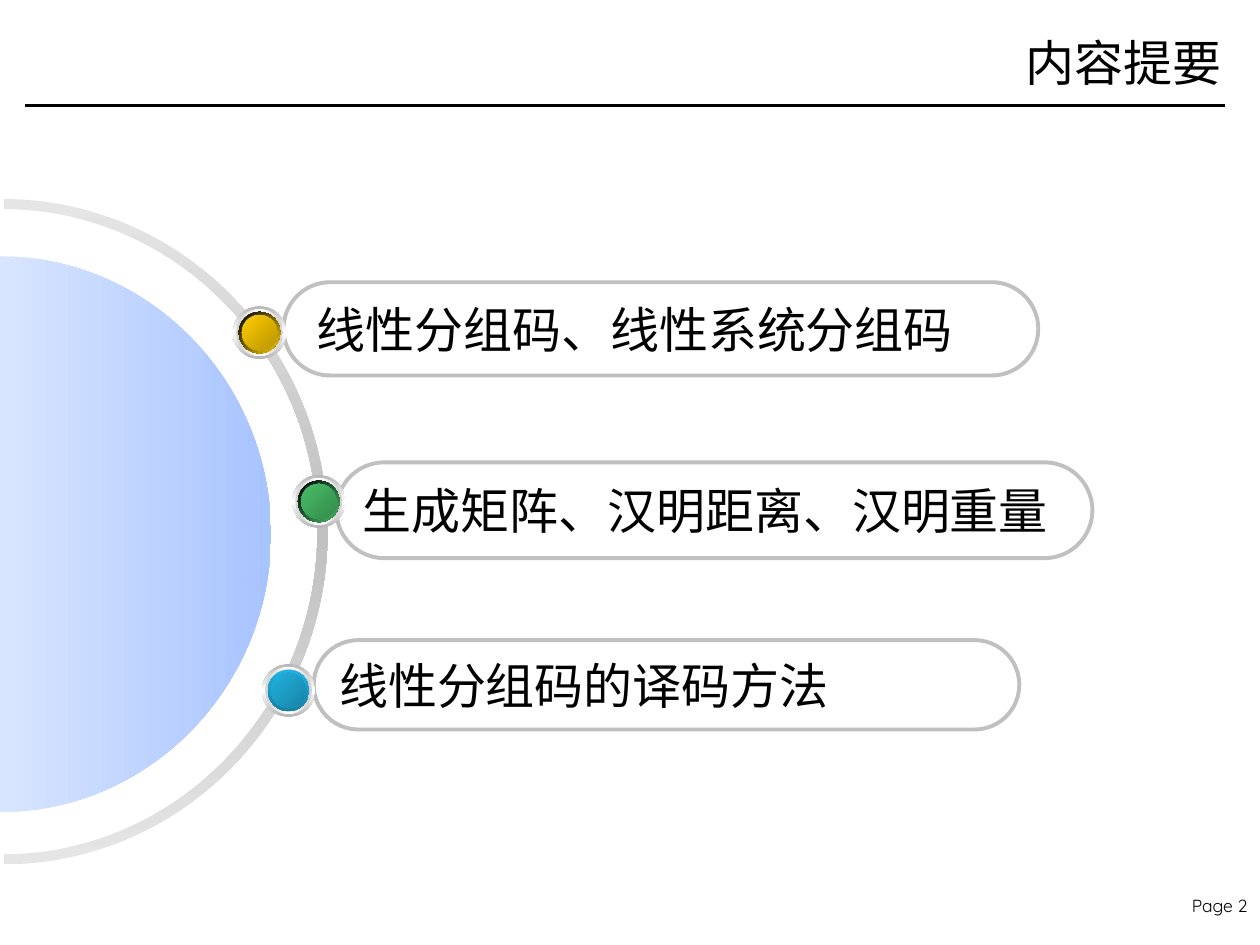
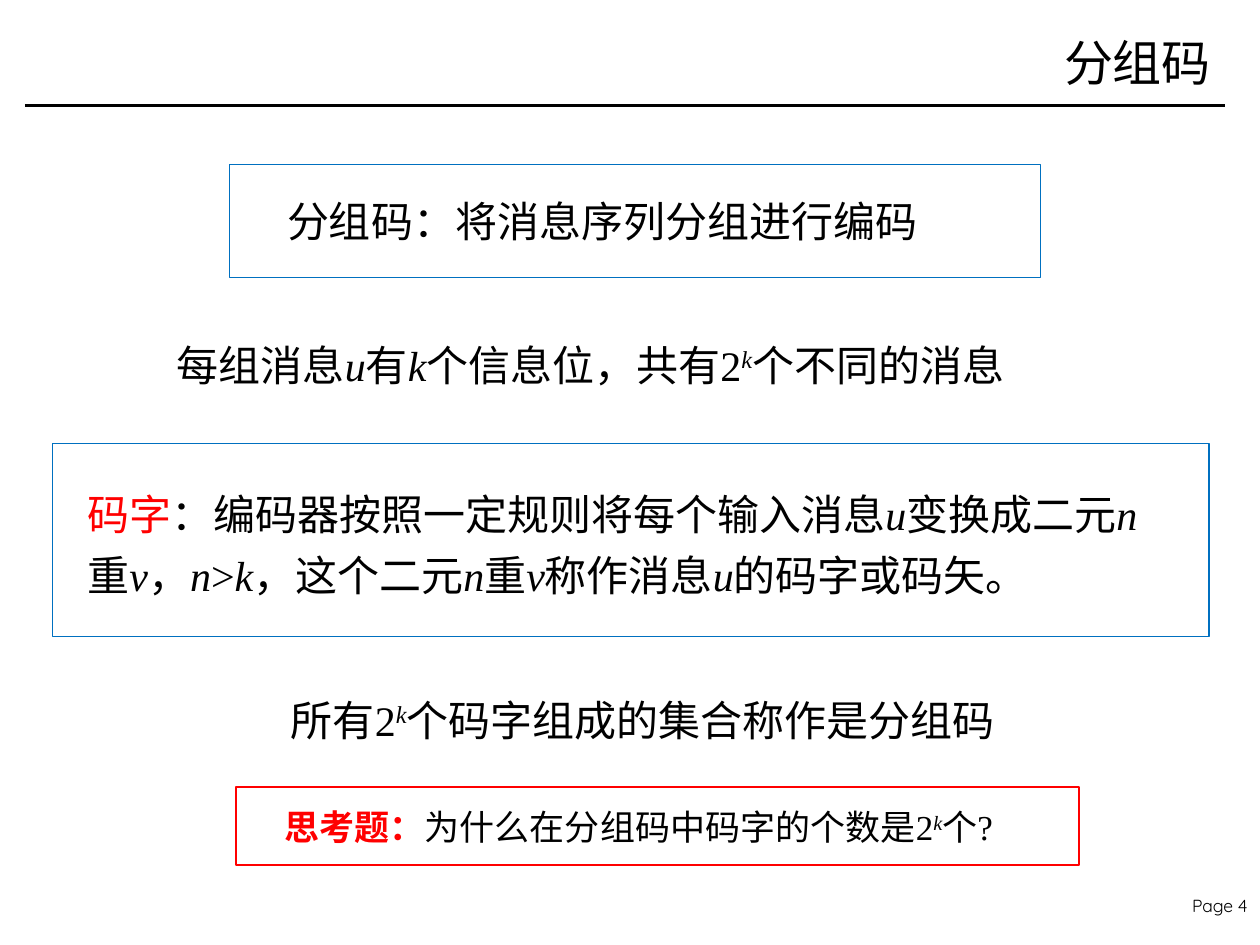
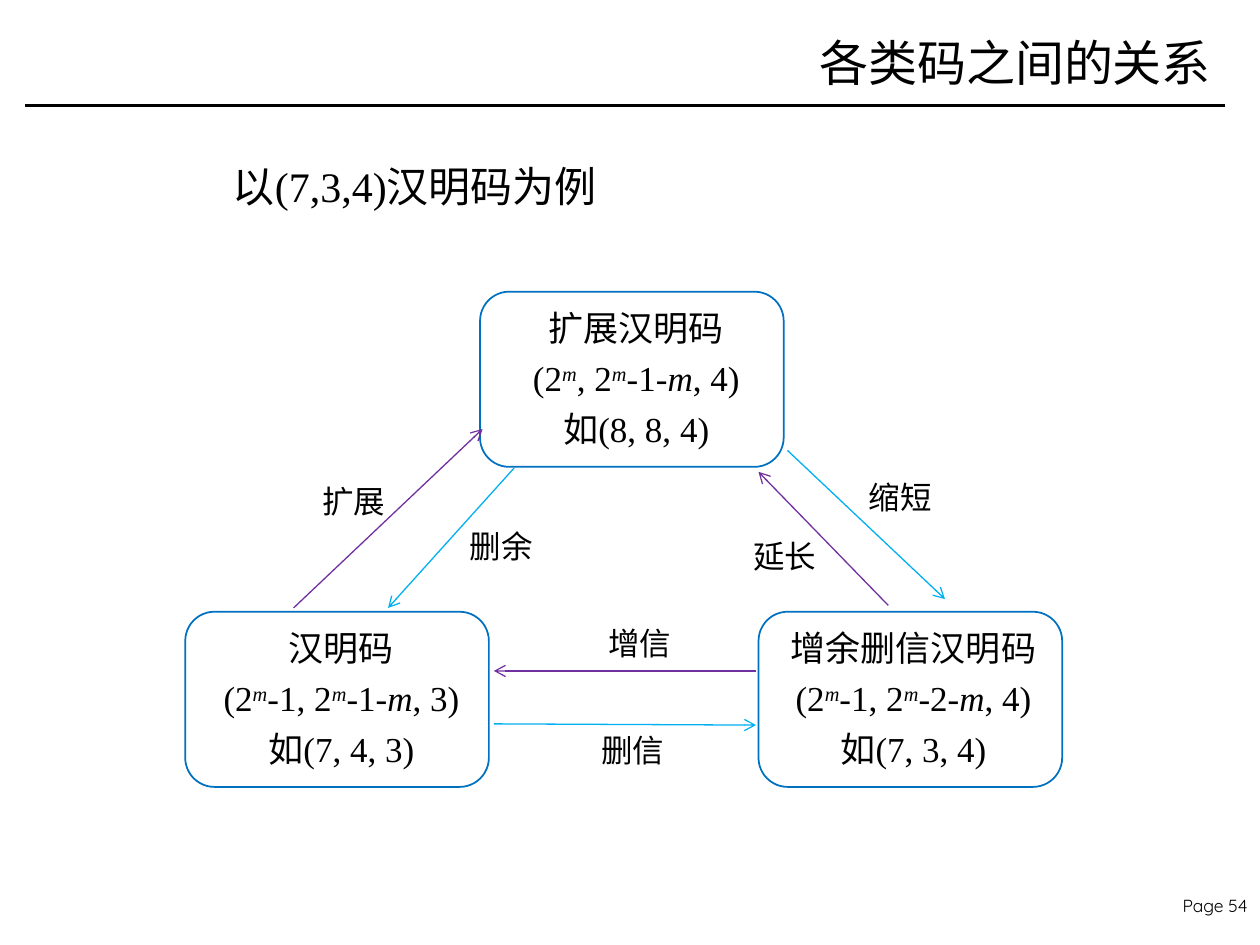
from dataclasses import dataclass

from lxml.etree import SubElement
from pptx import Presentation
from pptx.dml.color import RGBColor
from pptx.enum.shapes import MSO_CONNECTOR as Connector, MSO_SHAPE as Shape
from pptx.enum.text import MSO_ANCHOR as Anchor, MSO_AUTO_SIZE as AutoSize, PP_ALIGN as Align
from pptx.oxml.ns import qn
from pptx.util import Inches, Pt

CELL = 0.1  # the slide is a grid of 100 columns and 75 rows
CURVE = 0.55  # handle length of a quarter ellipse, as a share of its radius


@dataclass(frozen=True)
class Theme:
    ink: str = "000000"
    paper: str = "FFFFFF"
    red: str = "FF0000"
    frame: str = "0070C0"
    grow: str = "7030A0"
    shrink: str = "00B0F0"
    silver: str = "C0C0C0"
    pale_silver: str = "E5E5E5"
    steel: str = "B6B6B6"
    pale_steel: str = "D1D1D1"
    sky: str = "D8E5FF"
    deep_sky: str = "A8C4FF"
    blue: str = "6699FF"
    deep_blue: str = "4E75C3"
    serif: str = "Times New Roman"
    sans: str = "Arial"
    cjk: str = "Noto Sans CJK SC"
    footer: str = "Quicksand"
    title_size: int = 28
    body_size: int = 24
    node_size: int = 20
    label_size: int = 18
    footer_size: int = 10


THEME = Theme()


@dataclass(frozen=True)
class Box:
    """A rectangle in grid columns and rows."""
    x: float
    y: float
    w: float
    h: float

    def inner(self, x, y, w, h):
        return Box(self.x + x, self.y + y, w, h)

    def point(self, x, y):
        return cells(self.x + x), cells(self.y + y)

    def centred(self, size):
        return self.inner((self.w - size) / 2, (self.h - size) / 2, size, size)

    def emu(self):
        return [cells(length) for length in (self.x, self.y, self.w, self.h)]


PAGE = Box(0, 0, 100, 75)


def cells(count):
    return Inches(count * CELL)


def rgb(colour):
    return RGBColor.from_string(colour)


def paint(shape, fill=None, line=None, width=1):
    shape.shadow.inherit = False
    if fill:
        shape.fill.solid()
        shape.fill.fore_color.rgb = rgb(fill)
    else:
        shape.fill.background()
    if line:
        shape.line.color.rgb = rgb(line)
        shape.line.width = Pt(width)
    else:
        shape.line.fill.background()


def shade(shape, colours, angle):
    """Fill with evenly spaced gradient colours; angle is clockwise degrees."""
    paint(shape)
    shape.fill.gradient()
    gradient = shape._element.spPr.find(qn("a:gradFill"))
    stops = gradient.find(qn("a:gsLst"))
    for stop in list(stops):
        stops.remove(stop)
    for index, colour in enumerate(colours):
        stop = SubElement(stops, qn("a:gs"), pos=str(100000 * index // (len(colours) - 1)))
        SubElement(stop, qn("a:srgbClr"), val=colour)
    gradient.find(qn("a:lin")).set("ang", str(angle * 60000))


def add_run(paragraph, part):
    """Marks: _ italic, ^ superscript variable, ! red, * bold red."""
    mark = part[0] if part[0] in "_^!*" else ""
    run = paragraph.add_run()
    run.text = part[len(mark):]
    if mark in ("_", "^"):
        run.font.italic = True
    if mark == "^":
        run.font._element.set("baseline", "30000")
    if mark in ("!", "*"):
        run.font.color.rgb = rgb(THEME.red)
    if mark == "*":
        run.font.bold = True


def write(frame, lines, size, font=THEME.serif, align=Align.LEFT, spacing=None, anchor=Anchor.TOP):
    """Write lines whose runs are parted by | and styled by a leading mark."""
    frame.word_wrap = True
    frame.auto_size = AutoSize.NONE
    frame.vertical_anchor = anchor
    for index, line in enumerate(lines):
        paragraph = frame.add_paragraph() if index else frame.paragraphs[0]
        paragraph.alignment = align
        paragraph.line_spacing = spacing
        paragraph.font.size = Pt(size)
        paragraph.font.color.rgb = rgb(THEME.ink)
        paragraph.font.name = font
        defaults = paragraph._p.pPr.find(qn("a:defRPr"))
        SubElement(defaults, qn("a:ea"), typeface=THEME.cjk)
        for part in line.split("|"):
            add_run(paragraph, part)


def add_text(slide, box, lines, size, **style):
    write(slide.shapes.add_textbox(*box.emu()).text_frame, lines, size, **style)


def add_line(slide, start, end, colour, width, arrow=False):
    line = slide.shapes.add_connector(Connector.STRAIGHT, *start, *end)
    line.line.color.rgb = rgb(colour)
    line.line.width = Pt(width)
    if arrow:
        SubElement(line.line._get_or_add_ln(), qn("a:tailEnd"), type="arrow")
    SubElement(line._element.spPr, qn("a:effectLst"))


def add_frame(slide, box, line, width, fill=None, kind=Shape.RECTANGLE):
    frame = slide.shapes.add_shape(kind, *box.emu())
    paint(frame, fill, line, width)
    return frame


def start_slide(deck, title, title_box, number, font=THEME.cjk):
    """Add a slide with the shared title, rule and page number."""
    slide = deck.slides.add_slide(deck.slide_layouts[5])
    heading = slide.shapes.title
    heading.left, heading.top, heading.width, heading.height = title_box.emu()
    write(heading.text_frame, [title], THEME.title_size, font=font, align=Align.RIGHT,
          anchor=Anchor.MIDDLE)
    add_line(slide, PAGE.point(1.97, 8.36), PAGE.point(97.25, 8.36), THEME.ink, 2)
    add_text(slide, PAGE.inner(92, 70.55, 8, 2.6), [f"Page {number}"], THEME.footer_size,
             font=THEME.footer, align=Align.RIGHT)
    return slide


def half_ellipse(box, rx, ry):
    """Curve points of the right half, top to bottom, around the box's left middle."""
    handles = [(0, -1), (CURVE, -1), (1, -CURVE), (1, 0), (1, CURVE), (CURVE, 1), (0, 1)]
    return [box.point(rx * x, box.h / 2 + ry * y) for x, y in handles]


def add_outline(slide, *curves):
    """Join curves by straight lines; each has a start, then two handles and an end per arc."""
    points = [point for curve in curves for point in curve]
    builder = slide.shapes.build_freeform(*points[0], scale=1.0)
    builder.add_line_segments(points[1:], close=True)
    outline = builder.convert_to_shape()
    steps = list(next(outline._element.iter(qn("a:path"))))
    first = 0
    for curve in curves:
        for arc in range(first + 1, first + len(curve), 3):
            bezier = SubElement(steps[arc].getparent(), qn("a:cubicBezTo"))
            steps[arc].addprevious(bezier)
            for step in steps[arc:arc + 3]:
                bezier.append(step[0])
                step.getparent().remove(step)
        first += len(curve)
    return outline


def draw_dial(slide, box):
    ring = add_outline(slide, half_ellipse(box, 25.7, 26.4), half_ellipse(box, 24.9, 25.6)[::-1])
    shade(ring, [THEME.pale_silver, THEME.silver, THEME.pale_silver], 90)
    disc = add_outline(slide, half_ellipse(box.inner(-0.3, 0.2, box.w, box.h), 21.5, 22.05))
    shade(disc, [THEME.sky, THEME.deep_sky], 0)


def draw_bead(slide, box, rim, rim_angle, core):
    layers = [
        (4.2, [THEME.steel, THEME.paper, THEME.steel], 90),
        (3.7, [THEME.pale_steel, THEME.paper, THEME.pale_steel], 0),
        (3.3, [THEME.paper, THEME.blue, THEME.paper], 45),
        (3.3, rim, rim_angle),
        (2.8, [THEME.deep_blue, THEME.blue, THEME.deep_blue], 315),
        (2.8, core, 45),
    ]
    group = slide.shapes.add_group_shape()
    for size, colours, angle in layers:
        shade(group.shapes.add_shape(Shape.OVAL, *box.centred(size).emu()), colours, angle)


def draw_topic(slide, box, topic, indent):
    pill = add_frame(slide, box, THEME.silver, 2.25, kind=Shape.ROUNDED_RECTANGLE)
    pill.adjustments[0] = 0.5
    write(pill.text_frame, [topic], THEME.title_size, font=THEME.sans, anchor=Anchor.MIDDLE)
    pill.text_frame.margin_left = cells(indent)


def build_outline(deck):
    slide = start_slide(deck, "内容提要", PAGE.inner(72.75, 1.15, 25.2, 7.5), 2, THEME.serif)
    draw_dial(slide, PAGE.inner(0.3, 15.8, 26, 52.8))
    topics = [
        ("线性分组码的译码方法", Box(24.9, 50.8, 56, 7.1), 1,
         Box(20.8, 52.7, 4.2, 4.2), ["21B3E1", "1880A1"], 90, ["21B3E1", "1883A4"]),
        ("生成矩阵、汉明距离、汉明重量", Box(26.7, 36.7, 60, 7.6), 1,
         Box(23.2, 37.7, 4.2, 4.2), [THEME.ink, "48BE67"], 45, ["48BE67", "358B4B"]),
        ("线性分组码、线性系统分组码", Box(22.5, 22.4, 59.9, 7.4), 1.55,
         Box(18.5, 24.3, 4.2, 4.2), [THEME.ink, "FFCC00"], 45, ["FFCC00", "BA9500"]),
    ]
    for topic, pill_box, indent, *_ in topics:
        draw_topic(slide, pill_box, topic, indent)
    for *_, bead_box, rim, rim_angle, core in reversed(topics):
        draw_bead(slide, bead_box, rim, rim_angle, core)


def build_definition(deck):
    slide = start_slide(deck, "分组码", PAGE.inner(60.6, 1.15, 36.5, 7.5), 4)
    size = THEME.body_size
    add_frame(slide, PAGE.inner(18.2, 13.05, 64.4, 9), THEME.frame, 0.75)
    add_text(slide, PAGE.inner(21.8, 15, 58.7, 5), ["分组码：将消息序列分组进行编码"], size)
    add_text(slide, PAGE.inner(13.05, 26.45, 71.3, 5),
             ["每组消息|_u|有|_k|个信息位，共有2|^k|个不同的消息"], size)
    add_frame(slide, PAGE.inner(4.15, 35.2, 91.8, 15.3), THEME.frame, 0.75)
    add_text(slide, PAGE.inner(5.95, 37.5, 88.2, 10.7),
             ["!码字|：编码器按照一定规则将每个输入消息|_u|变换成二元|_n|重|_v|，|_n|>|_k"
              "|，这个二元|_n|重|_v|称作消息|_u|的码字或码矢。"], size, spacing=1.2)
    add_text(slide, PAGE.inner(22.1, 54.6, 60.2, 5), ["所有2|^k|个码字组成的集合称作是分组码"], size)
    add_frame(slide, PAGE.inner(18.72, 62.45, 66.9, 6.2), THEME.red, 1, THEME.paper)
    add_text(slide, PAGE.inner(21.6, 62.8, 62.7, 5),
             ["*思考题：|为什么在分组码中码字的个数是2|^k|个?"], THEME.node_size,
             align=Align.JUSTIFY, spacing=1.2)


def draw_code(slide, box, text_indent, lines):
    add_frame(slide, box, THEME.frame, 1, THEME.paper, Shape.ROUNDED_RECTANGLE)
    add_text(slide, box.inner(text_indent, 0, 21.8, 13.1), lines, THEME.node_size,
             align=Align.CENTER, spacing=1.2)


def draw_code_triangle(slide, box):
    codes = [
        (23.4, 0, 1.5, ["扩展汉明码", "(2|^m|, 2|^m|-1-|_m|, 4)", "如(8, 8, 4)"]),
        (0, 25.4, 1.5, ["汉明码", "(2|^m|-1, 2|^m|-1-|_m|, 3)", "如(7, 4, 3)"]),
        (45.5, 25.4, 1.4, ["增余删信汉明码", "(2|^m|-1, 2|^m|-2-|_m|, 4)", "如(7, 3, 4)"]),
    ]
    for x, y, indent, lines in codes:
        draw_code(slide, box.inner(x, y, 24.1, 13.9), indent, lines)

    conversions = [
        ("缩短", (47.8, 12.6), (60.3, 24.4), THEME.shrink, (53.25, 13.4, 7)),
        ("延长", (55.8, 24.9), (45.5, 14.3), THEME.grow, (44.1, 18.1, 8.7)),
        ("扩展", (8.6, 25.1), (23.6, 10.9), THEME.grow, (9.9, 13.75, 8.7)),
        ("删余", (26.1, 14), (16.1, 25.1), THEME.shrink, (21.6, 17.3, 7)),
        ("删信", (24.5, 34.3), (45.3, 34.4), THEME.shrink, (32.05, 33.5, 7)),
        ("增信", (45.3, 30.1), (24.5, 30.1), THEME.grow, (32.6, 25, 7)),
    ]
    for name, start, end, colour, label in conversions:
        add_line(slide, box.point(*start), box.point(*end), colour, 0.75, arrow=True)
        add_text(slide, box.inner(*label, 4.9), [name], THEME.label_size, spacing=1.3)


def build_relations(deck):
    slide = start_slide(deck, "各类码之间的关系", PAGE.inner(35.1, 1.15, 62, 7.5), 54)
    add_text(slide, PAGE.inner(17.5, 11.05, 32.8, 6.2), ["以(7,3,4)汉明码为例"],
             THEME.body_size, spacing=1.3)
    draw_code_triangle(slide, PAGE.inner(14.7, 23.15, 69.6, 39.3))


def main():
    deck = Presentation()
    deck.slide_width, deck.slide_height = cells(PAGE.w), cells(PAGE.h)
    build_outline(deck)
    build_definition(deck)
    build_relations(deck)
    deck.save("out.pptx")


if __name__ == "__main__":
    main()
